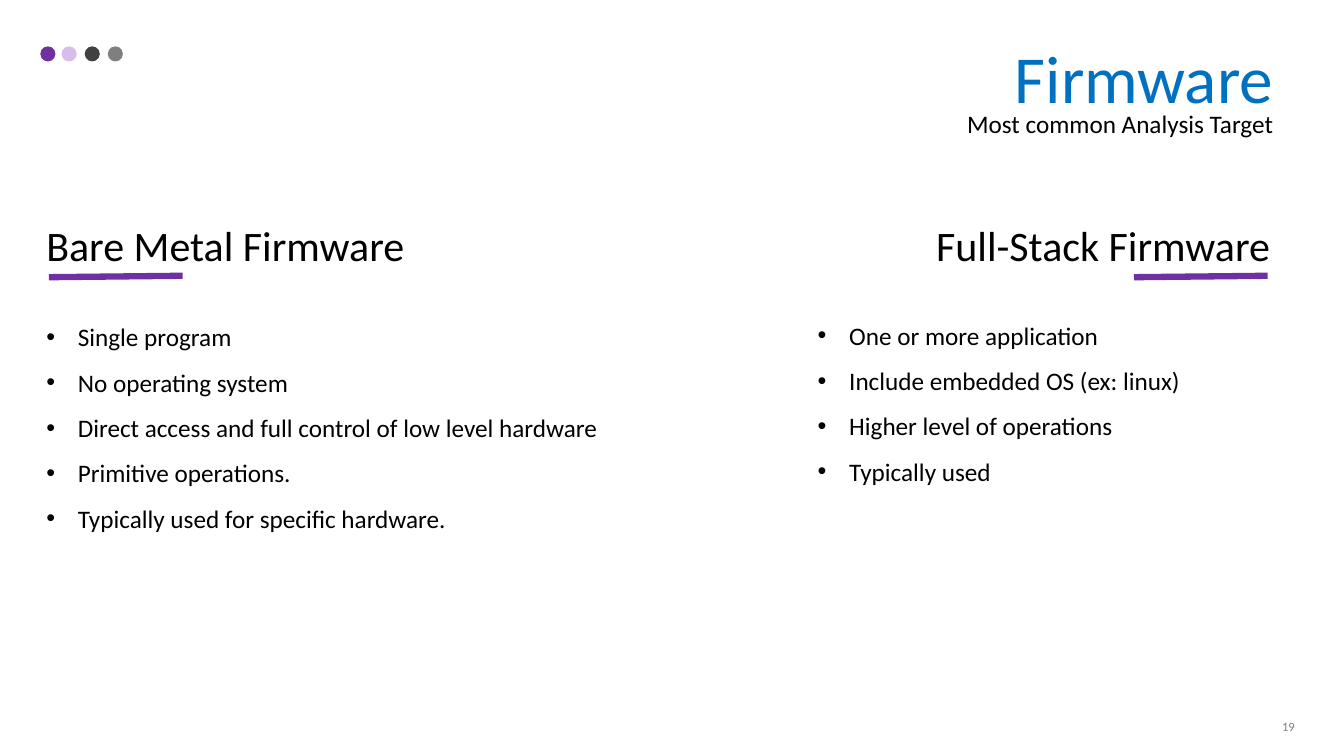
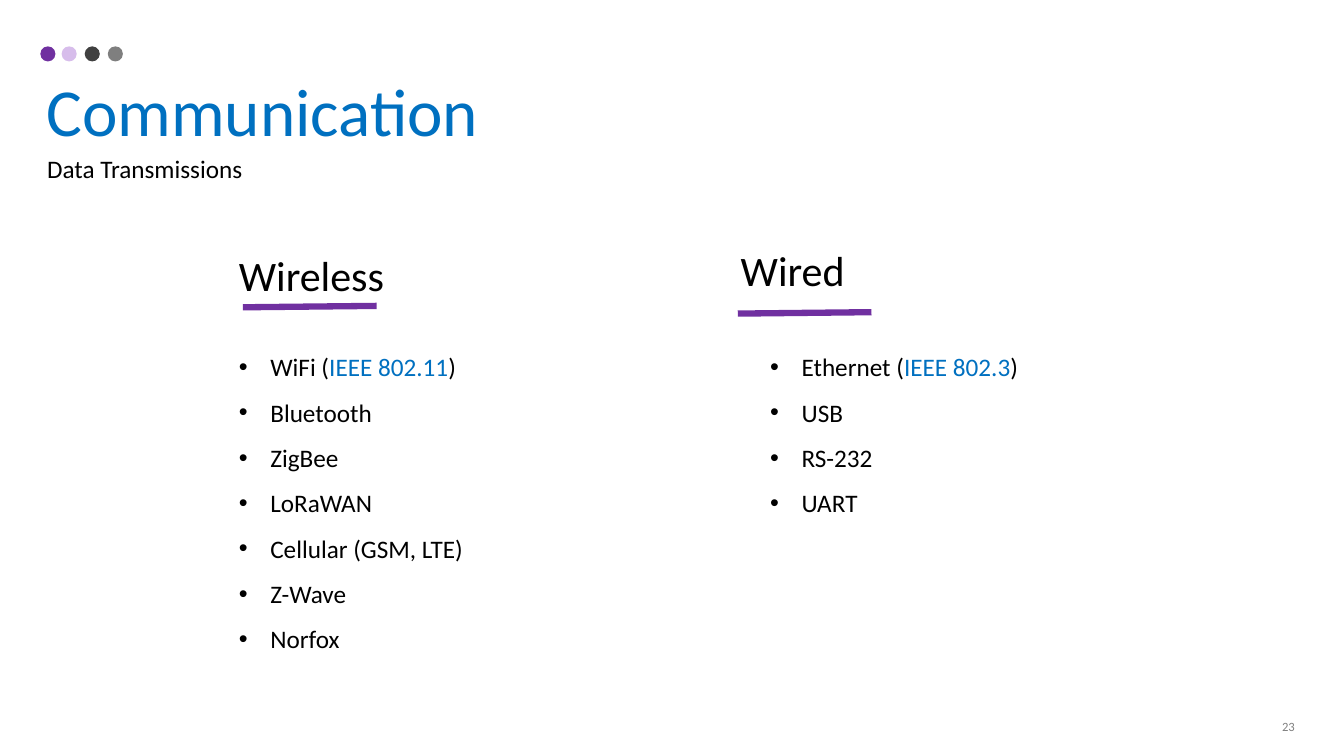
from lxml import etree
from pptx import Presentation
from pptx.dml.color import RGBColor
from pptx.enum.shapes import MSO_CONNECTOR as Connector, MSO_SHAPE as Preset
from pptx.enum.text import MSO_ANCHOR as Anchor, PP_ALIGN as Align
from pptx.oxml.ns import qn
from pptx.util import Pt

BLUE = RGBColor(0x00, 0x70, 0xC0)
BLACK = RGBColor(0x00, 0x00, 0x00)
PURPLE = RGBColor(0x70, 0x30, 0xA0)
LILAC = RGBColor(0xC7, 0xA2, 0xE3)
DARK_GRAY = RGBColor(0x40, 0x40, 0x40)
GRAY = RGBColor(0x7F, 0x7F, 0x7F)


def write_text(paragraph, text, *, size=18, color=BLACK, align=Align.LEFT, font="Calibri"):
    """Append one formatted run to a paragraph."""
    paragraph.alignment = align
    run = paragraph.add_run()
    run.text = text
    run.font.name = font
    run.font.size = Pt(size)
    run.font.color.rgb = color


class Deck:
    """Hold the shared style and the slide being built."""

    DOTS = ((28.8, PURPLE, 100), (44, LILAC, 70), (60.5, DARK_GRAY, 100), (77, GRAY, 100))
    DOT_TOP, DOT_SIZE = 33.1, 10.8
    BULLET_INDENT = 22.5
    RULE_LENGTH, RULE_RISE = 95.5, 1

    def __init__(self):
        """Start an empty widescreen presentation."""
        self.presentation = Presentation()
        self.presentation.slide_width = Pt(960)
        self.presentation.slide_height = Pt(540)

    def new_slide(self, number):
        """Add a slide with the corner dots and its number."""
        self.slide = self.presentation.slides.add_slide(self.presentation.slide_layouts[6])
        for left, color, opacity in self.DOTS:
            self.dot(left, color, opacity)
        self.label(716, 509, 216, 19.4, number, anchor=Anchor.MIDDLE,
                   size=9, color=GRAY, align=Align.RIGHT)

    def dot(self, left, color, opacity):
        """Draw one corner dot."""
        dot = self.slide.shapes.add_shape(
            Preset.OVAL, Pt(left), Pt(self.DOT_TOP), Pt(self.DOT_SIZE), Pt(self.DOT_SIZE))
        dot.shadow.inherit = False
        dot.fill.solid()
        dot.fill.fore_color.rgb = color
        dot.line.fill.background()
        if opacity < 100:
            tint = dot.fill._xPr.find(".//" + qn("a:srgbClr"))
            etree.SubElement(tint, qn("a:alpha"), val=str(opacity * 1000))

    def frame(self, left, top, width, height, anchor=Anchor.TOP):
        """Add a wrapping text box and return its text frame."""
        frame = self.slide.shapes.add_textbox(
            Pt(left), Pt(top), Pt(width), Pt(height)).text_frame
        frame.word_wrap = True
        frame.vertical_anchor = anchor
        return frame

    def label(self, left, top, width, height, text, anchor=Anchor.TOP, **style):
        """Add a single line of text."""
        frame = self.frame(left, top, width, height, anchor)
        write_text(frame.paragraphs[0], text, **style)

    def title(self, left, top, text, align=Align.LEFT):
        """Add the slide title."""
        self.label(left, top, 400, 65.5, text, size=48, color=BLUE, align=align)

    def subtitle(self, left, top, text, align=Align.LEFT):
        """Add the line under the title."""
        self.label(left, top, 300, 29, text, align=align)

    def heading(self, left, top, text, align=Align.LEFT):
        """Add a column heading."""
        self.label(left, top, 300, 44, text, size=30, align=align)

    def rule(self, left, top):
        """Draw the slightly rising stroke under a heading."""
        rule = self.slide.shapes.add_connector(
            Connector.STRAIGHT, Pt(left), Pt(top + self.RULE_RISE),
            Pt(left + self.RULE_LENGTH), Pt(top))
        rule.line.color.rgb = PURPLE
        rule.line.width = Pt(4.5)
        etree.SubElement(rule._element.spPr, qn("a:effectLst"))

    def bullets(self, left, top, width, items):
        """Add a bulleted list; an item is text or (text, color) runs."""
        frame = self.frame(left, top, width, 33 * len(items))
        for index, item in enumerate(items):
            paragraph = frame.add_paragraph() if index else frame.paragraphs[0]
            properties = paragraph._p.get_or_add_pPr()
            properties.set("marL", str(Pt(self.BULLET_INDENT)))
            properties.set("indent", str(-Pt(self.BULLET_INDENT)))
            etree.SubElement(properties, qn("a:buFont"), typeface="Arial")
            etree.SubElement(properties, qn("a:buChar"), char="•")
            paragraph.line_spacing = 1.5
            for text, color in [(item, BLACK)] if isinstance(item, str) else item:
                write_text(paragraph, text, color=color)


def with_standard(name, standard):
    """Return runs naming a link and its highlighted standard."""
    return [(f"{name} (", BLACK), (standard, BLUE), (")", BLACK)]


def firmware_slide(deck):
    """Build the comparison of firmware kinds."""
    deck.new_slide("19")
    deck.title(516.5, 22.3, "Firmware", Align.RIGHT)
    deck.subtitle(616.5, 73.5, "Most common Analysis Target", Align.RIGHT)
    deck.heading(26, 153.4, "Bare Metal Firmware")
    deck.rule(35, 197)
    deck.heading(614.5, 153.4, "Full-Stack Firmware", Align.RIGHT)
    deck.rule(810, 197)
    deck.bullets(26, 215.3, 450, [
        "Single program",
        "No operating system",
        "Direct access and full control of low level hardware",
        "Primitive operations.",
        "Typically used for specific hardware.",
    ])
    deck.bullets(577, 214.2, 320, [
        "One or more application",
        "Include embedded OS (ex: linux)",
        "Higher level of operations",
        "Typically used",
    ])


def communication_slide(deck):
    """Build the list of wireless and wired links."""
    deck.new_slide("23")
    deck.title(26, 46, "Communication")
    deck.subtitle(26.6, 106, "Data Transmissions")
    deck.heading(163.5, 175, "Wireless")
    deck.rule(173.5, 218.5)
    deck.heading(522, 171.4, "Wired")
    deck.rule(527, 223)
    deck.bullets(163.5, 236.7, 250, [
        with_standard("WiFi", "IEEE 802.11"),
        "Bluetooth",
        "ZigBee",
        "LoRaWAN",
        "Cellular (GSM, LTE)",
        "Z-Wave",
        "Norfox",
    ])
    deck.bullets(543, 236.7, 250, [
        with_standard("Ethernet", "IEEE 802.3"),
        "USB",
        "RS-232",
        "UART",
    ])


def main():
    """Build and save the slides."""
    deck = Deck()
    firmware_slide(deck)
    communication_slide(deck)
    deck.presentation.save("out.pptx")


if __name__ == "__main__":
    main()
